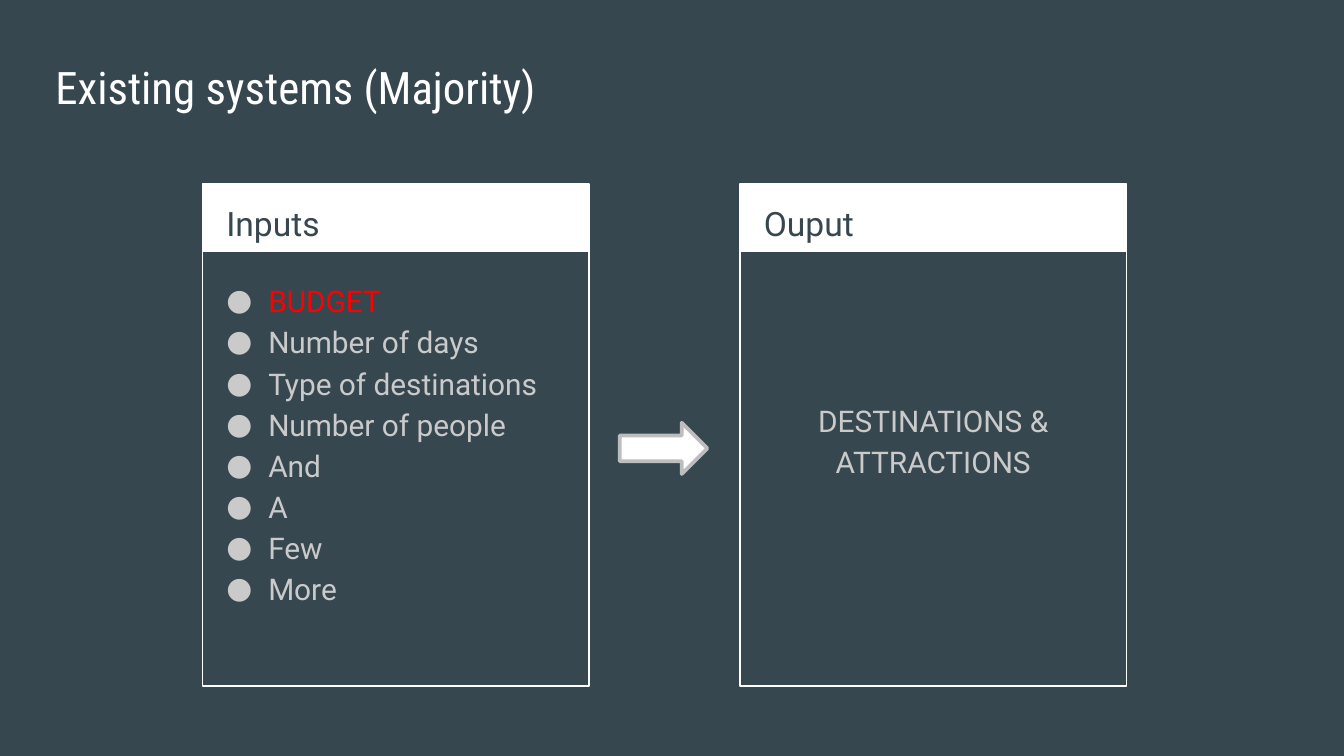
from lxml.etree import SubElement
from pptx import Presentation
from pptx.dml.color import RGBColor
from pptx.enum.shapes import MSO_SHAPE as Preset
from pptx.enum.text import MSO_ANCHOR as Anchor, MSO_AUTO_SIZE as AutoSize, PP_ALIGN as Align
from pptx.oxml.ns import qn
from pptx.util import Pt

SLATE = RGBColor(0x37, 0x47, 0x4F)
WHITE = RGBColor(0xFF, 0xFF, 0xFF)
PALE = RGBColor(0xCA, 0xCA, 0xCA)
RED = RGBColor(0xFF, 0x00, 0x00)
SILVER = RGBColor(0xBD, 0xBD, 0xBD)

COMPARISON_LAYOUT = 4
HEADER_HEIGHT = 36.5
INPUTS = ["BUDGET", "Number of days", "Type of destinations", "Number of people",
          "And", "A", "Few", "More"]


def add_preset(shapes, preset, box, fill=None, outline=None, weight=0.75):
    shape = shapes.add_shape(preset, *map(Pt, box))
    shape.shadow.inherit = False
    if fill is None:
        shape.fill.background()
    else:
        shape.fill.solid()
        shape.fill.fore_color.rgb = fill
    if outline is None:
        shape.line.fill.background()
    else:
        shape.line.color.rgb = outline
        shape.line.width = Pt(weight)
    return shape


def fill_placeholder(holder, box, lines, size, color, font="Roboto",
                     align=Align.LEFT, anchor=Anchor.TOP, spacing=1.15):
    holder.left, holder.top, holder.width, holder.height = map(Pt, box)
    frame = holder.text_frame
    frame.text = "\n".join(lines)
    frame.word_wrap = True
    frame.auto_size = AutoSize.NONE
    frame.vertical_anchor = anchor
    frame.margin_left = frame.margin_right = Pt(7.2)
    frame.margin_top = frame.margin_bottom = Pt(7.2)
    for paragraph in frame.paragraphs:
        paragraph.alignment = align
        paragraph.line_spacing = spacing
        paragraph.space_before = paragraph.space_after = Pt(0)
        paragraph.font.name = font
        paragraph.font.size = Pt(size)
        paragraph.font.bold = False
        paragraph.font.color.rgb = color
    holder.element.getparent().append(holder.element)
    return frame.paragraphs


def set_bullet(paragraph, bullet=None, indent=0):
    properties = paragraph._p.get_or_add_pPr()
    properties.set("marL", str(Pt(indent)))
    properties.set("indent", str(-Pt(indent)))
    if bullet is None:
        SubElement(properties, qn("a:buNone"))
        return
    bullet_color = SubElement(properties, qn("a:buClr"))
    SubElement(bullet_color, qn("a:srgbClr"), val=str(PALE))
    SubElement(properties, qn("a:buFont"), typeface="Roboto")
    SubElement(properties, qn("a:buChar"), char=bullet)


def add_panel(slide, box, heading, label):
    left, top, width, height = box
    card = slide.shapes.add_group_shape()
    add_preset(card.shapes, Preset.RECTANGLE, (left, top, width, HEADER_HEIGHT), fill=WHITE)
    add_preset(card.shapes, Preset.RECTANGLE, box, outline=WHITE)
    fill_placeholder(heading, (left + 5.5, top, width - 11, 36), [label], 18, SLATE)


def add_inputs(slide, box, heading, body):
    left, top, width, height = box
    add_panel(slide, box, heading, "Inputs")
    items = fill_placeholder(body, (left + 5.5, top + 43, width - 12, height - 49),
                             INPUTS, 16, PALE)
    for item in items:
        set_bullet(item, "●", 22.5)
    items[0].font.color.rgb = RED


def add_output(slide, box, heading, body):
    left, top, width, height = box
    add_panel(slide, box, heading, "Ouput")
    result, = fill_placeholder(body, (left + 17, top + 107, width - 34, 55),
                               ["DESTINATIONS & ATTRACTIONS"], 16, PALE, align=Align.CENTER)
    set_bullet(result)


def main():
    deck = Presentation()
    deck.slide_width, deck.slide_height = Pt(720), Pt(405)
    slide = deck.slides.add_slide(deck.slide_layouts[COMPARISON_LAYOUT])
    slide.background.fill.solid()
    slide.background.fill.fore_color.rgb = SLATE

    title, inputs_heading, inputs_body, output_heading, output_body = slide.placeholders
    fill_placeholder(title, (22.5, 23.5, 671, 45.5), ["Existing systems (Majority)"], 24, WHITE,
                     font="Roboto Condensed", anchor=Anchor.MIDDLE, spacing=1)
    add_inputs(slide, (108.5, 98.5, 207, 269), inputs_heading, inputs_body)
    add_output(slide, (396.5, 98.5, 207, 269), output_heading, output_body)
    add_preset(slide.shapes, Preset.RIGHT_ARROW, (332, 226.5, 47, 27.5), WHITE, SILVER, 2)
    deck.save("out.pptx")


if __name__ == "__main__":
    main()
